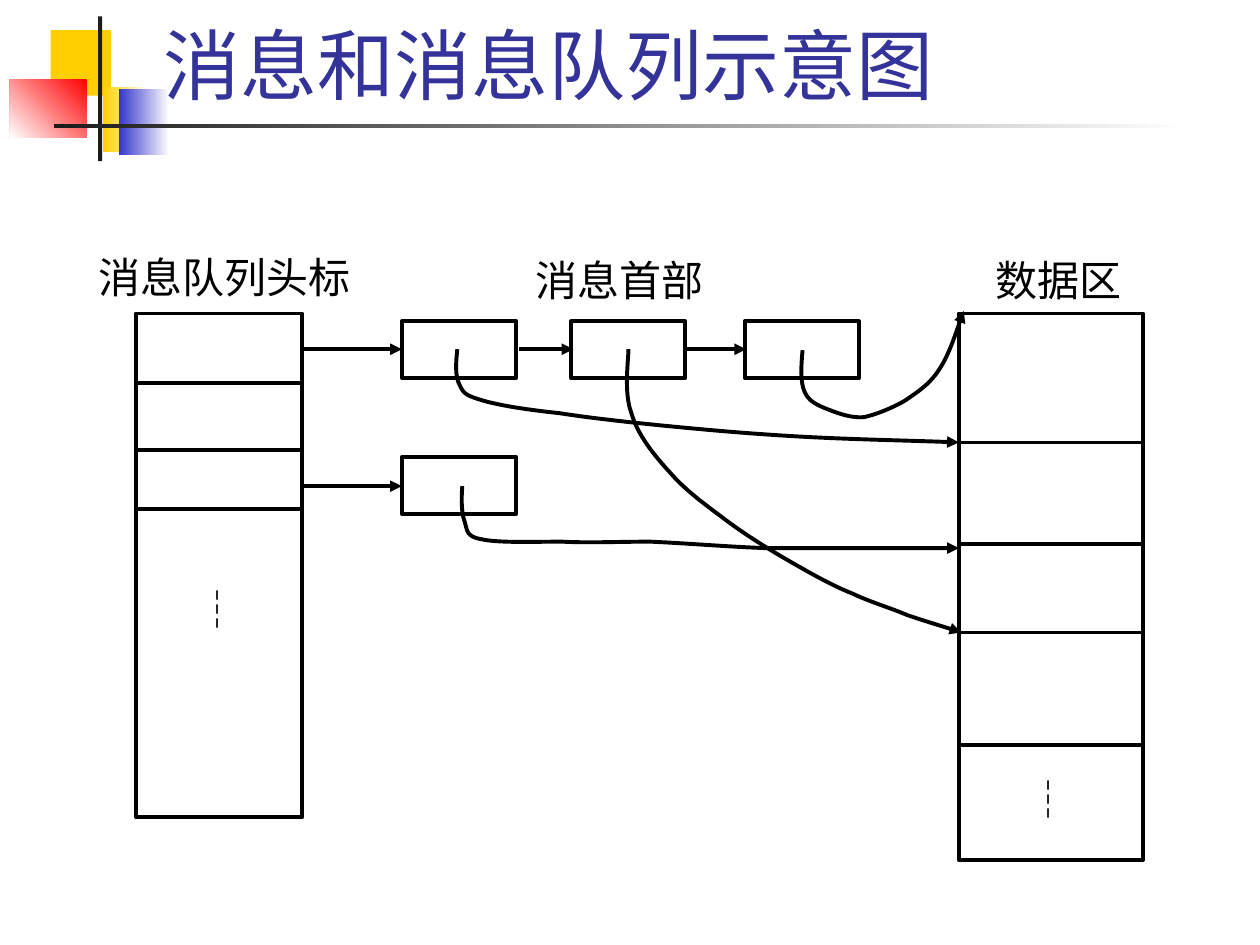
from dataclasses import dataclass
from lxml import etree
from pptx import Presentation
from pptx import util as u
from pptx.dml import color
from pptx.enum import shapes, text
from pptx.oxml import ns

HUES = {"gold": "FFCF01", "blue": "3333CC", "red": "FF0000", "dark": "1C1C1C",
        "title": "333399", "ink": "000000", "white": "FFFFFF"}
TIMES, NOTO = "Times New Roman", "Noto Sans CJK SC"
ALIGN = text.PP_ALIGN


@dataclass
class Box:
    x: float
    y: float
    w: float
    h: float


@dataclass
class Motif:
    box: Box
    hue: str
    fade: bool = False
    turn: int = 0


@dataclass
class Label:
    box: Box
    words: str
    font: str = TIMES
    align: ALIGN = ALIGN.JUSTIFY


@dataclass
class Column:
    box: Box
    rules: tuple


@dataclass
class Arrow:
    start: float
    end: float
    y: float


MOTIFS = [
    Motif(Box(1.02, 0.61, 1.22, 1.32), "gold"),
    Motif(Box(2.08, 1.75, 0.91, 1.32), "gold", True),
    Motif(Box(2.39, 1.8, 1.02, 1.32), "blue", True),
    Motif(Box(0.2, 1.6, 1.55, 1.17), "red", True, 225),
    Motif(Box(1.98, 0.33, 0.08, 2.92), "dark"),
    Motif(Box(1.09, 2.51, 22.86, 0.08), "dark", True),
]
LABELS = [
    Label(Box(1.98, 5.08, 5.21, 1.07), "消息队列头标"),
    Label(Box(10.8, 5.13, 3.51, 0.79), "消息首部"),
    Label(Box(20.07, 5.13, 3, 1.22), "数据区"),
    Label(Box(3.84, 11.76, 1.09, 0.99), "┆", NOTO, ALIGN.CENTER),
    Label(Box(20.6, 15.6, 1.09, 0.99), "┆", NOTO, ALIGN.CENTER),
]
COLUMNS = [
    Column(Box(2.74, 6.32, 3.35, 10.16), (7.72, 9.07, 10.26)),
    Column(Box(19.33, 6.32, 3.71, 11.02), (8.92, 10.97, 12.75, 15.01)),
]
NODES = [(8.1, 6.48), (11.51, 6.48), (15.01, 6.48), (8.1, 9.22)]
ARROWS = [Arrow(6.1, 8.1, 7.04), Arrow(10.46, 11.56, 7.04),
          Arrow(13.82, 15.04, 7.04), Arrow(6.1, 8.1, 9.8)]
CURVES = [
    [(16.18, 7.06), (16.15, 7.39), (16.13, 7.72), (16.23, 7.92),
     (16.33, 8.13), (16.56, 8.2), (16.76, 8.28),
     (16.97, 8.36), (17.2, 8.43), (17.42, 8.41),
     (17.65, 8.36), (17.98, 8.23), (18.24, 8.08),
     (18.47, 7.92), (18.72, 7.77), (18.92, 7.47),
     (19.13, 7.16), (19.33, 6.53), (19.43, 6.27)],
    [(9.22, 7.04), (9.19, 7.32), (9.17, 7.59), (9.27, 7.77),
     (9.35, 7.95), (9.42, 7.98), (9.75, 8.08),
     (10.11, 8.18), (10.62, 8.26), (11.28, 8.33),
     (11.91, 8.43), (12.83, 8.53), (13.67, 8.61),
     (14.5, 8.69), (15.34, 8.76), (16.28, 8.81),
     (17.22, 8.86), (18.69, 8.89), (19.33, 8.92)],
    [(12.67, 7.04), (12.67, 7.26), (12.57, 7.92), (12.73, 8.33),
     (12.85, 8.76), (13.18, 9.17), (13.51, 9.53),
     (13.84, 9.91), (14.27, 10.21), (14.68, 10.52),
     (15.09, 10.82), (15.54, 11.1), (15.98, 11.35),
     (16.38, 11.58), (16.79, 11.81), (17.17, 11.96),
     (17.55, 12.14), (17.91, 12.24), (18.29, 12.4),
     (18.64, 12.52), (19.15, 12.67), (19.38, 12.75)],
    [(9.32, 9.8), (9.3, 10.06), (9.3, 10.34), (9.37, 10.52),
     (9.42, 10.69), (9.4, 10.82), (9.7, 10.87),
     (10.03, 10.95), (10.74, 10.92), (11.33, 10.92),
     (11.89, 10.95), (12.45, 10.92), (13.11, 10.92),
     (13.79, 10.95), (14.63, 11.02), (15.42, 11.05),
     (16.23, 11.05), (17.27, 11.05), (17.93, 11.05),
     (18.57, 11.05), (19.05, 11.05), (19.33, 11.05)],
]


def rgb(hue: str) -> color.RGBColor:
    """Look up a named colour."""
    return color.RGBColor.from_string(HUES[hue])


def place(box: Box) -> list[u.Cm]:
    """Turn a box into lengths."""
    return [u.Cm(v) for v in (box.x, box.y, box.w, box.h)]


def stroke(item, head: bool = False) -> None:
    """Give an item the black line, with an arrowhead if wanted."""
    item.line.color.rgb = rgb("ink")
    item.line.width = u.Pt(2.25)
    if head:
        etree.SubElement(item.line._get_or_add_ln(), ns.qn("a:tailEnd"), type="triangle")


def rect(slide, box: Box):
    """Add a plain rectangle."""
    item = slide.shapes.add_shape(shapes.MSO_SHAPE.RECTANGLE, *place(box))
    item.shadow.inherit = False
    return item


def motif(slide, part: Motif) -> None:
    """Add one piece of the corner ornament."""
    item = rect(slide, part.box)
    item.line.fill.background()
    if part.fade:
        item.fill.gradient()
        item.fill.gradient_angle = part.turn
        for stop, hue in zip(item.fill.gradient_stops, (part.hue, "white")):
            stop.color.rgb = rgb(hue)
    else:
        item.fill.solid()
        item.fill.fore_color.rgb = rgb(part.hue)


def frame(slide, box: Box) -> None:
    """Add a white box with a black outline."""
    item = rect(slide, box)
    item.fill.solid()
    item.fill.fore_color.rgb = rgb("white")
    stroke(item)


def link(slide, start: float, end: float, y: float, head: bool = False) -> None:
    """Add a level line."""
    item = slide.shapes.add_connector(
        shapes.MSO_CONNECTOR.STRAIGHT, *map(u.Cm, (start, y, end, y)))
    stroke(item, head)
    etree.SubElement(item._element.spPr, ns.qn("a:effectLst"))


def curve(slide, points: list[tuple[float, float]]) -> None:
    """Add an arrow that runs along joined cubic curves."""
    first, *rest = [(u.Cm(x), u.Cm(y)) for x, y in points]
    pen = slide.shapes.build_freeform(*first)
    pen.add_line_segments(rest, close=False)
    item = pen.convert_to_shape()
    item.shadow.inherit = False
    item.fill.background()
    stroke(item, True)
    legs = list(item._element.iter(ns.qn("a:lnTo")))
    for i in range(0, len(legs), 3):
        bend = etree.SubElement(legs[i].getparent(), ns.qn("a:cubicBezTo"))
        for leg in legs[i:i + 3]:
            bend.append(leg[0])
            leg.getparent().remove(leg)


def write(slide, label: Label, size: int = 24, hue: str = "ink"):
    """Add a text box without margins."""
    body = slide.shapes.add_textbox(*place(label.box)).text_frame
    body.word_wrap = True
    body.margin_left = body.margin_right = body.margin_top = body.margin_bottom = 0
    para = body.paragraphs[0]
    para.alignment = label.align
    run = para.add_run()
    run.text = label.words
    run.font.size = u.Pt(size)
    run.font.name = label.font
    run.font.color.rgb = rgb(hue)
    etree.SubElement(run.font._element, ns.qn("a:ea"), typeface=NOTO)
    return body


def main() -> None:
    """Build the message queue slide."""
    deck = Presentation()
    deck.slide_width, deck.slide_height = u.Cm(25.4), u.Cm(19.05)
    slide = deck.slides.add_slide(deck.slide_layouts[6])
    for part in MOTIFS:
        motif(slide, part)
    title = Label(Box(3.05, 0.43, 21.64, 1.91), "消息和消息队列示意图", align=ALIGN.LEFT)
    body = write(slide, title, 44, "title")
    body.vertical_anchor = text.MSO_ANCHOR.BOTTOM
    body.margin_left = body.margin_right = u.Cm(0.25)
    body.margin_top = body.margin_bottom = u.Cm(0.13)
    for col in COLUMNS:
        frame(slide, col.box)
        for y in col.rules:
            link(slide, col.box.x, col.box.x + col.box.w, y)
    for x, y in NODES:
        frame(slide, Box(x, y, 2.31, 1.14))
    for arrow in ARROWS:
        link(slide, arrow.start, arrow.end, arrow.y, True)
    for label in LABELS:
        write(slide, label)
    for points in CURVES:
        curve(slide, points)
    deck.save("out.pptx")


if __name__ == "__main__":
    main()
